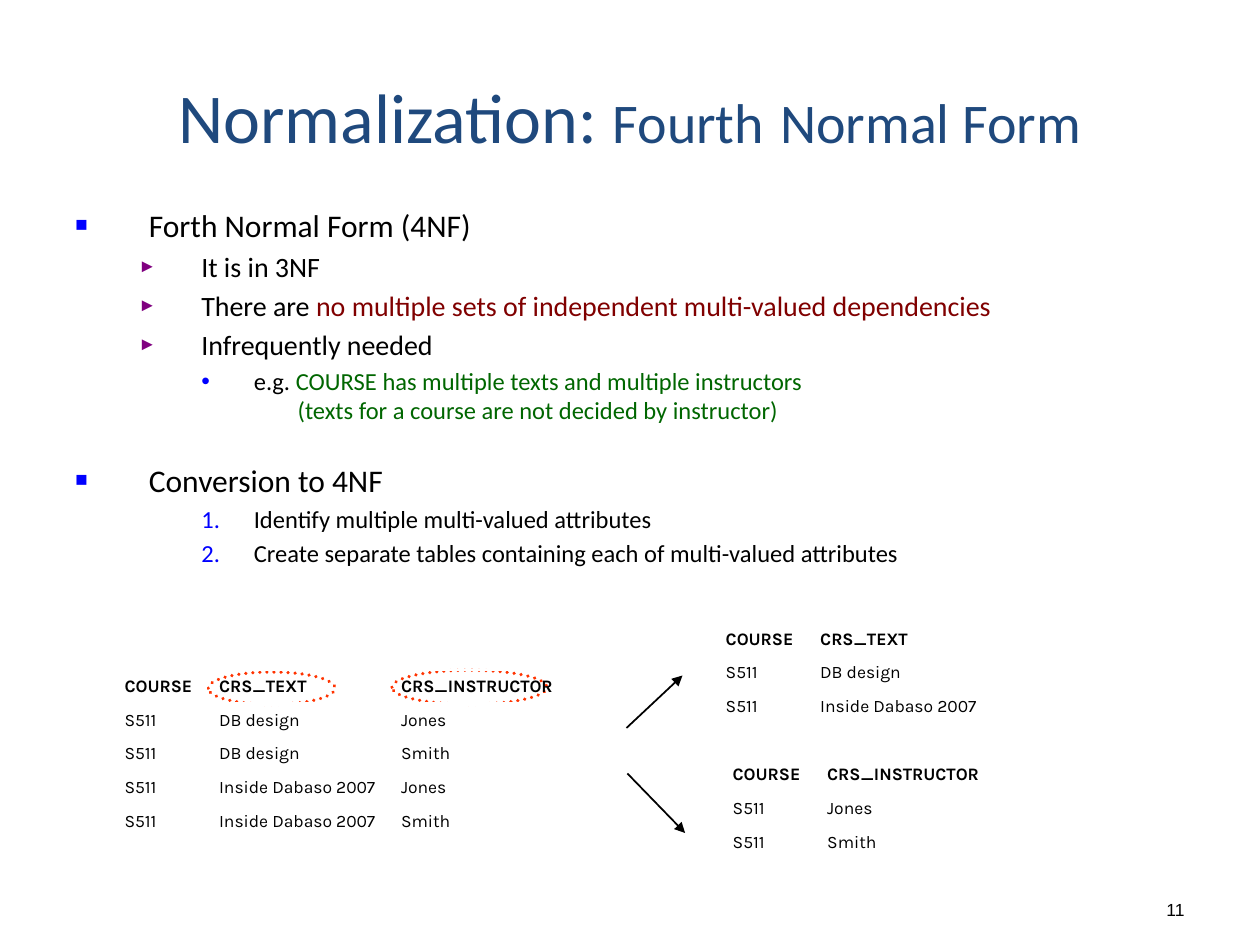
from lxml import etree
from pptx import Presentation
from pptx.dml.color import RGBColor
from pptx.enum.dml import MSO_LINE
from pptx.enum.shapes import MSO_CONNECTOR, MSO_SHAPE
from pptx.enum.text import MSO_ANCHOR, PP_ALIGN
from pptx.oxml.ns import qn
from pptx.util import Pt

BLACK = RGBColor(0x00, 0x00, 0x00)
WHITE = RGBColor(0xFF, 0xFF, 0xFF)
NAVY = RGBColor(0x1F, 0x49, 0x7D)
BLUE = RGBColor(0x00, 0x00, 0xFF)
PURPLE = RGBColor(0x80, 0x00, 0x80)
MAROON = RGBColor(0x80, 0x00, 0x00)
GREEN = RGBColor(0x00, 0x66, 0x00)
ORANGE = RGBColor(0xFF, 0x33, 0x00)


def add_text(paragraph, text, size=10, font="Calibri", color=BLACK, bold=False):
    run = paragraph.add_run()
    run.text = text
    run.font.size = Pt(size)
    run.font.name = font
    run.font.color.rgb = color
    run.font.bold = bold


def add_xml(parent, tag, **attributes):
    child = etree.SubElement(parent, qn(tag))
    for name, value in attributes.items():
        child.set(name, str(value))
    return child


presentation = Presentation()
presentation.slide_width, presentation.slide_height = Pt(720), Pt(540)
slide = presentation.slides.add_slide(presentation.slide_layouts[5])
shapes = slide.shapes

# Title
title = shapes.title
title.left, title.top, title.width, title.height = Pt(36), Pt(30), Pt(648), Pt(72)
title.text_frame.vertical_anchor = MSO_ANCHOR.MIDDLE
paragraph = title.text_frame.paragraphs[0]
paragraph.alignment = PP_ALIGN.CENTER
for text, size in [("Normalization: ", 40), ("Fourth", 32), (" ", 40), ("Normal Form", 32)]:
    add_text(paragraph, text, size=size, color=NAVY)

# Slide number
number_box = shapes.add_textbox(Pt(653.5), Pt(510), Pt(30.5), Pt(19.5))
number_box.text_frame.vertical_anchor = MSO_ANCHOR.BOTTOM
paragraph = number_box.text_frame.paragraphs[0]
paragraph.alignment = PP_ALIGN.RIGHT
add_text(paragraph, "11", font="Arial")

# Outline styles: level, size, left margin, hanging indent, space before, bullet, colour, percent
STYLES = {
    "topic": (0, 18, 42, 42, 3.6, "■", BLUE, 65),
    "next topic": (0, 18, 42, 42, 20.6, "■", BLUE, 65),
    "point": (1, 16, 72, 36, 3.2, "►", PURPLE, 65),
    "example": (2, 14, 102, 30, 2.8, "•", BLUE, 100),
    "continued": (2, 14, 127, 0, 0, None, None, None),
    "step": (2, 14, 102, 30, 2.8, "1.", BLUE, 100),
}
OUTLINE = [
    ("topic", [("Forth Normal Form (4NF)", BLACK)]),
    ("point", [("It is in 3NF", BLACK)]),
    ("point", [("There are ", BLACK),
               ("no multiple sets of independent multi-valued dependencies", MAROON)]),
    ("point", [("Infrequently needed", BLACK)]),
    ("example", [("e.g. ", BLACK),
                 ("COURSE has multiple texts and multiple instructors", GREEN)]),
    ("continued", [("(texts for a course are not decided by instructor)", GREEN)]),
    ("next topic", [("Conversion to 4NF", BLACK)]),
    ("step", [("Identify multiple multi-valued attributes", BLACK)]),
    ("step", [("Create separate tables containing each of multi-valued attributes", BLACK)]),
]

# Outline text
outline_frame = shapes.add_textbox(Pt(36), Pt(114), Pt(648), Pt(221)).text_frame
outline_frame.word_wrap = True
for index, (style, runs) in enumerate(OUTLINE):
    level, size, margin, hanging, before, bullet, bullet_color, percent = STYLES[style]
    paragraph = outline_frame.add_paragraph() if index else outline_frame.paragraphs[0]
    paragraph.level = level
    paragraph.space_before = Pt(before)
    for text, color in runs:
        add_text(paragraph, text, size=size, color=color)
    properties = paragraph._p.get_or_add_pPr()
    properties.set("marL", str(Pt(margin)))
    properties.set("indent", str(-Pt(hanging)))
    if bullet is None:
        add_xml(properties, "a:buNone")
        continue
    add_xml(add_xml(properties, "a:buClr"), "a:srgbClr", val=bullet_color)
    add_xml(properties, "a:buSzPct", val=percent * 1000)
    if style == "step":
        add_xml(properties, "a:buFont", typeface="Calibri")
        add_xml(properties, "a:buAutoNum", type="arabicPeriod")
    else:
        add_xml(properties, "a:buFont", typeface="Arial")
        add_xml(properties, "a:buChar", char=bullet)

# Arrows from the source table to the two split tables
for x1, y1, x2, y2 in [(358, 416, 390, 386), (358.5, 442, 391.5, 476)]:
    arrow = shapes.add_connector(MSO_CONNECTOR.STRAIGHT, Pt(x1), Pt(y1), Pt(x2), Pt(y2))
    arrow.line.color.rgb = BLACK
    arrow.line.width = Pt(1)
    add_xml(arrow.line._get_or_add_ln(), "a:tailEnd", type="triangle")
    add_xml(arrow._element.spPr, "a:effectLst")

# Dotted rings around the multi-valued attributes
for left, top, width, height in [(119, 384, 72.5, 18.5), (224, 383, 88.5, 19.5)]:
    ring = shapes.add_shape(MSO_SHAPE.OVAL, Pt(left), Pt(top), Pt(width), Pt(height))
    ring.shadow.inherit = False
    ring.fill.background()
    ring.line.color.rgb = ORANGE
    ring.line.width = Pt(2)
    ring.line.dash_style = MSO_LINE.ROUND_DOT
    ring.line._get_or_add_ln().set("cap", "rnd")

# Tables: left, top, row height, rows
COLUMN_WIDTHS = [54, 104, 105]
TABLES = [
    (64, 383, 16.5, [
        ("COURSE", "CRS_TEXT", "CRS_INSTRUCTOR"),
        ("S511", "DB design", "Jones"),
        ("S511", "DB design", "Smith"),
        ("S511", "Inside Dabaso 2007", "Jones"),
        ("S511", "Inside Dabaso 2007", "Smith")]),
    (407.5, 356, 19.25, [
        ("COURSE", "CRS_TEXT"), ("S511", "DB design"), ("S511", "Inside Dabaso 2007")]),
    (411.5, 433.5, 19.25, [
        ("COURSE", "CRS_INSTRUCTOR"), ("S511", "Jones"), ("S511", "Smith")]),
]
for left, top, row_height, rows in TABLES:
    widths = COLUMN_WIDTHS[:len(rows[0])]
    table = shapes.add_table(len(rows), len(widths), Pt(left), Pt(top),
                             Pt(sum(widths)), Pt(row_height * len(rows))).table
    for column, width in zip(table.columns, widths):
        column.width = Pt(width)
    for row_index, values in enumerate(rows):
        is_header = row_index == 0
        table.rows[row_index].height = Pt(row_height)
        for column_index, value in enumerate(values):
            cell = table.cell(row_index, column_index)
            add_text(cell.text_frame.paragraphs[0], value, font="Karla", bold=is_header)
            cell_properties = cell._tc.get_or_add_tcPr()
            for side in "LRTB":
                weight = 3 if is_header and side == "B" else 1
                border = add_xml(cell_properties, f"a:ln{side}", w=Pt(weight))
                add_xml(add_xml(border, "a:solidFill"), "a:srgbClr", val=WHITE)
            cell.fill.background()

presentation.save("out.pptx")
